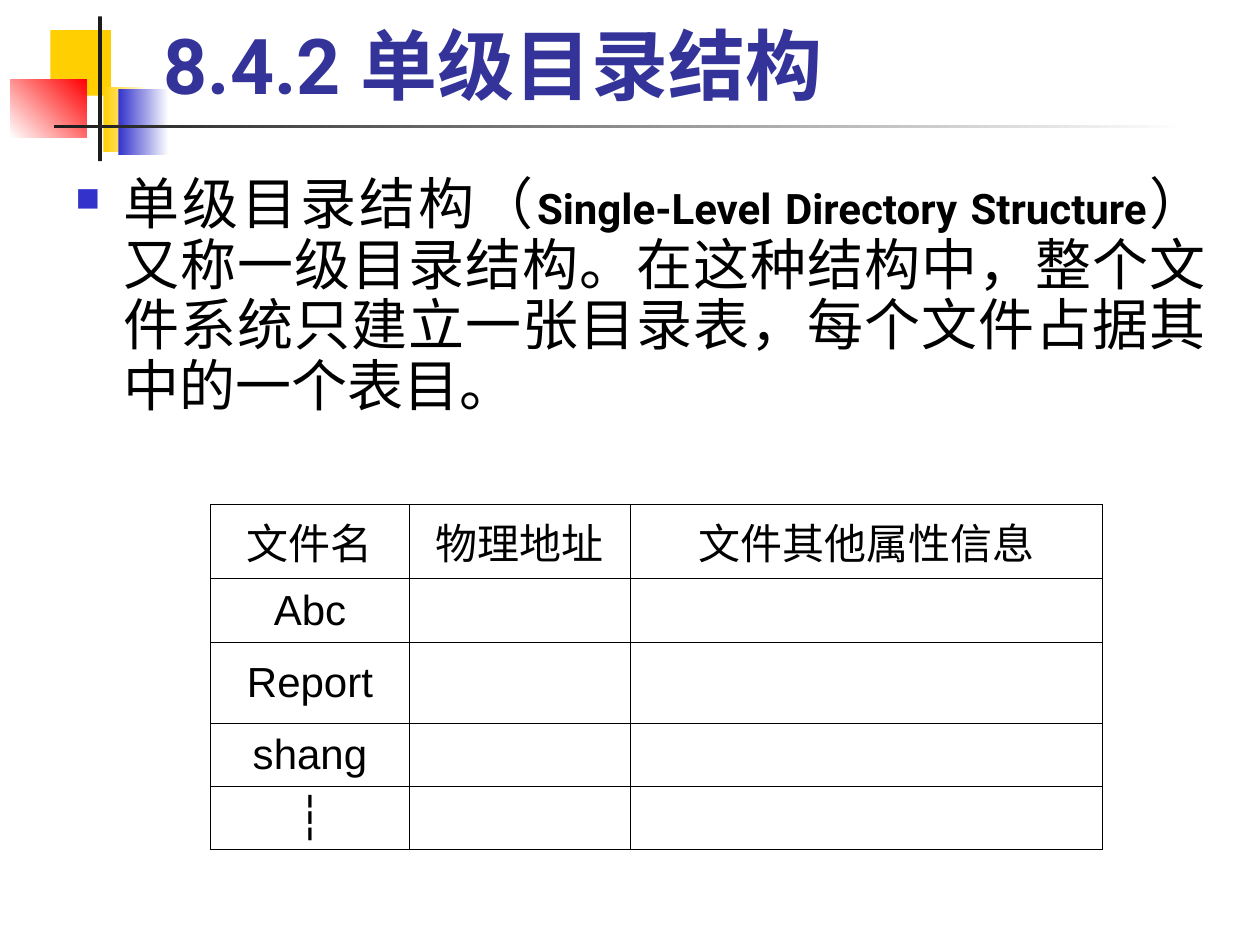
from dataclasses import dataclass
from typing import Optional

from lxml.etree import SubElement
from pptx import Presentation
from pptx.dml.color import RGBColor
from pptx.enum.shapes import MSO_SHAPE as Preset
from pptx.enum.text import MSO_ANCHOR as Anchor, PP_ALIGN as Align
from pptx.oxml.ns import qn
from pptx.util import Inches, Pt

WIDTH, HEIGHT = Inches(10), Inches(7.5)
YELLOW = RGBColor(0xFF, 0xCF, 0x01)
BLUE = RGBColor(0x33, 0x33, 0xCC)
RED = RGBColor(0xFF, 0x00, 0x00)
INK = RGBColor(0x1C, 0x1C, 0x1C)
INDIGO = RGBColor(0x33, 0x33, 0x99)
WHITE = RGBColor(0xFF, 0xFF, 0xFF)
BLACK = RGBColor(0x00, 0x00, 0x00)


@dataclass(frozen=True)
class Box:
    """Position and size in percent of the slide."""
    left: float
    top: float
    width: float
    height: float

    def lengths(self) -> tuple:
        """Return left, top, width and height as lengths."""
        return across(self.left), down(self.top), across(self.width), down(self.height)


@dataclass(frozen=True)
class Block:
    """A decorative rectangle, plain or fading to a second colour."""
    box: Box
    color: RGBColor
    fade: Optional[RGBColor] = None
    angle: float = 0


@dataclass(frozen=True)
class Words:
    """A run of text with its look."""
    text: str
    size: float
    font: str = "Roboto"
    color: RGBColor = BLACK
    bold: bool = False


BLOCKS = [
    Block(Box(4, 3.2, 4.8, 6.93), YELLOW),
    Block(Box(8.2, 9.2, 3.6, 6.93), YELLOW, WHITE),
    Block(Box(9.4, 9.47, 4, 6.93), BLUE, WHITE),
    Block(Box(0.8, 8.4, 6.1, 6.13), WHITE, RED, 45),
    Block(Box(7.8, 1.73, 0.3, 15.33), INK),
    Block(Box(4.3, 13.2, 90, 0.4), INK, WHITE),
]
TITLE_BOX = Box(12, 2.27, 85.2, 10)
TITLE = [Words("8.4.2 单级目录结构", 44, color=INDIGO, bold=True)]
BODY_BOX = Box(5, 18, 91.7, 29.47)
BODY = [
    Words("单级目录结构（", 32),
    Words("Single-Level Directory Structure", 24, bold=True),
    Words("）又称一级目录结构。在这种结构中，整个文件系统只建立一张目录表，"
          "每个文件占据其中的一个表目。", 32),
]
TABLE_BOX = Box(16.7, 53.33, 70.8, 36.53)
COLUMNS = [15.8, 17.5, 37.5]
ROWS = [7.87, 6.8, 8.53, 6.67, 6.67]
DIRECTORY = [["文件名", "物理地址", "文件其他属性信息"], ["Abc"], ["Report"], ["shang"], ["┆"]]


def across(percent: float) -> int:
    """Turn a percentage of the slide's width into a length."""
    return round(WIDTH * percent / 100)


def down(percent: float) -> int:
    """Turn a percentage of the slide's height into a length."""
    return round(HEIGHT * percent / 100)


def draw_block(slide, block: Block) -> None:
    """Draw one decorative rectangle."""
    shape = slide.shapes.add_shape(Preset.RECTANGLE, *block.box.lengths())
    shape.shadow.inherit = False
    shape.line.fill.background()
    if block.fade is None:
        shape.fill.solid()
        shape.fill.fore_color.rgb = block.color
        return
    shape.fill.gradient()
    shape.fill.gradient_angle = block.angle
    for stop, color in zip(shape.fill.gradient_stops, (block.color, block.fade)):
        stop.color.rgb = color


def add_words(paragraph, words: Words) -> None:
    """Append one run to a paragraph."""
    run = paragraph.add_run()
    run.text = words.text
    run.font.size = Pt(words.size)
    run.font.name = words.font
    run.font.bold = words.bold
    run.font.color.rgb = words.color


def draw_text(slide, box: Box, runs: list[Words], anchor: Anchor):
    """Draw a wrapped text box and return its paragraph."""
    frame = slide.shapes.add_textbox(*box.lengths()).text_frame
    frame.word_wrap = True
    frame.vertical_anchor = anchor
    paragraph = frame.paragraphs[0]
    for words in runs:
        add_words(paragraph, words)
    return paragraph


def add_bullet(paragraph, color: RGBColor, percent: int) -> None:
    """Give a paragraph a hanging square bullet."""
    properties = paragraph._p.get_or_add_pPr()
    properties.set("marL", str(Inches(0.38)))
    properties.set("indent", str(-Inches(0.38)))
    tint = SubElement(properties, qn("a:buClr"))
    SubElement(tint, qn("a:srgbClr"), val=str(color))
    SubElement(properties, qn("a:buSzPct"), val=str(percent * 1000))
    SubElement(properties, qn("a:buChar"), char="■")


def add_borders(cell, color: RGBColor, width: float) -> None:
    """Outline all four sides of a cell."""
    properties = cell._tc.get_or_add_tcPr()
    for side in ("lnL", "lnR", "lnT", "lnB"):
        line = SubElement(properties, qn(f"a:{side}"), w=str(Pt(width)))
        fill = SubElement(line, qn("a:solidFill"))
        SubElement(fill, qn("a:srgbClr"), val=str(color))


def draw_directory(slide) -> None:
    """Draw the directory table."""
    table = slide.shapes.add_table(len(ROWS), len(COLUMNS), *TABLE_BOX.lengths()).table
    table.first_row = table.horz_banding = False
    for column, share in zip(table.columns, COLUMNS):
        column.width = across(share)
    for row, share, texts in zip(table.rows, ROWS, DIRECTORY):
        row.height = down(share)
        for cell in row.cells:
            add_borders(cell, BLACK, 0.45)
            cell.fill.background()
            cell.vertical_anchor = Anchor.MIDDLE
        for cell, text in zip(row.cells, texts):
            paragraph = cell.text_frame.paragraphs[0]
            paragraph.alignment = Align.CENTER
            add_words(paragraph, Words(text, 24, "Arial"))


def main() -> None:
    """Build and save the slide."""
    presentation = Presentation()
    presentation.slide_width, presentation.slide_height = WIDTH, HEIGHT
    slide = presentation.slides.add_slide(presentation.slide_layouts[6])
    for block in BLOCKS:
        draw_block(slide, block)
    draw_text(slide, TITLE_BOX, TITLE, Anchor.BOTTOM)
    body = draw_text(slide, BODY_BOX, BODY, Anchor.TOP)
    add_bullet(body, BLUE, 60)
    body.alignment = Align.JUSTIFY
    body.line_spacing = 0.9
    draw_directory(slide)
    presentation.save("out.pptx")


if __name__ == "__main__":
    main()
